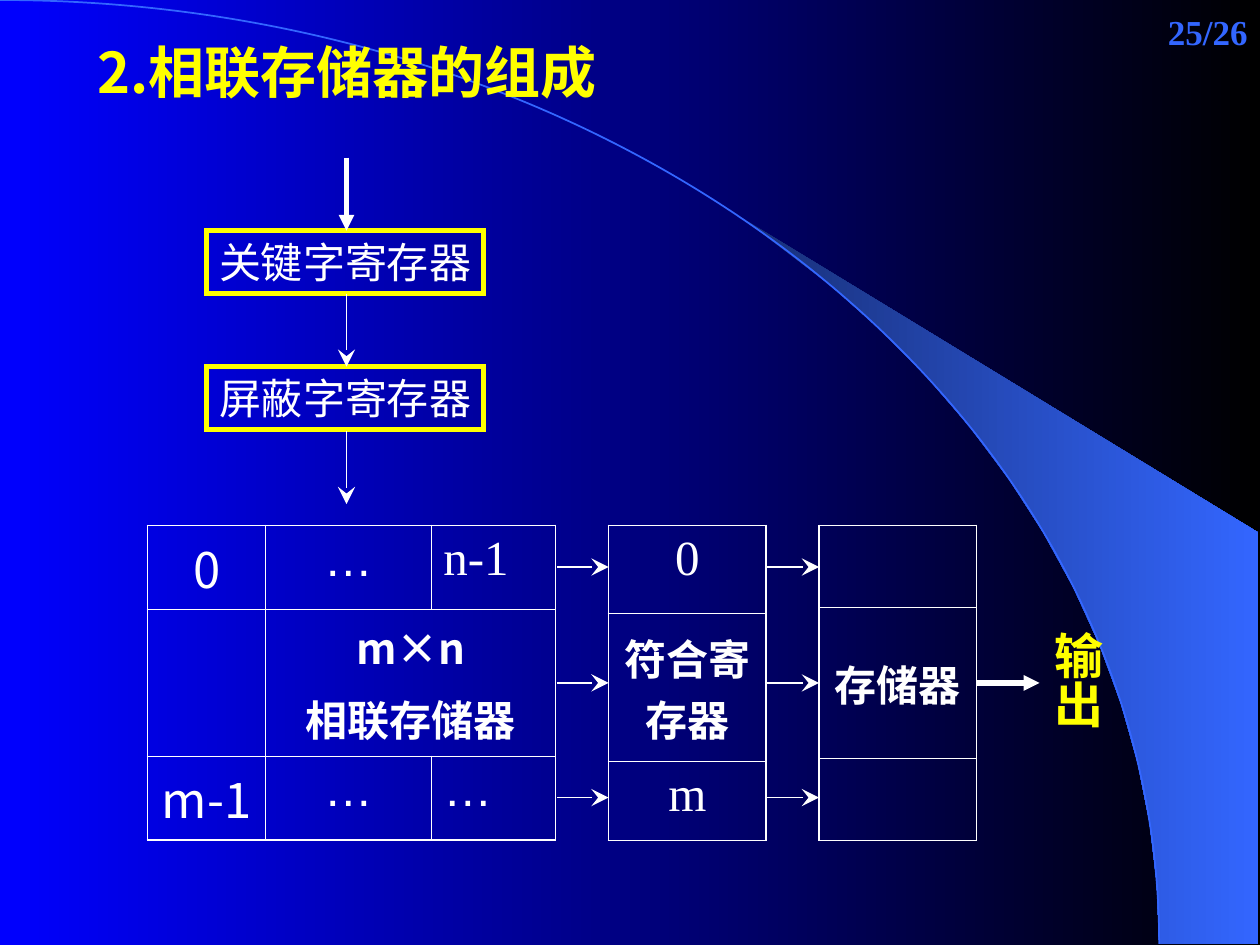
import math

import lxml.etree
import pptx
import pptx.dml.color
import pptx.enum.shapes
import pptx.enum.text
import pptx.oxml.ns
import pptx.util

WIDE, HIGH = 10, 7.5
WHITE, YELLOW, BLUE = "FFFFFF", "FFFF00", "3366FF"
NOTO, TIMES, ARIAL = "Noto Sans CJK SC", "Times New Roman", "Arial"
ALIGN = pptx.enum.text.PP_ALIGN
ANCHOR = pptx.enum.text.MSO_ANCHOR
TOP = 4.17
INCH = pptx.util.Inches


def color(text):
    return pptx.dml.color.RGBColor.from_string(text)


def node(parent, tag, **attrs):
    return lxml.etree.SubElement(parent, pptx.oxml.ns.qn(tag), attrs)


def write(frame, text, size=28, font=ARIAL, tint=WHITE, bold=False,
          align=ALIGN.LEFT, anchor=ANCHOR.TOP, wrap=True, gap=0, pad=(0.1, 0.05)):
    frame.word_wrap = wrap
    frame.vertical_anchor = anchor
    frame.margin_left = frame.margin_right = INCH(pad[0])
    frame.margin_top = frame.margin_bottom = INCH(pad[1])
    for i, line in enumerate(text.split("\n")):
        para = frame.add_paragraph() if i else frame.paragraphs[0]
        para.alignment = align
        para.space_before = pptx.util.Pt(gap if i else 0)
        run = para.add_run()
        run.text = line
        run.font.size = pptx.util.Pt(size)
        run.font.bold = bold
        run.font.name = font
        run.font.color.rgb = color(tint)
        node(run._r.get_or_add_rPr(), "a:ea", typeface=NOTO)


def blend(fill, start, end):
    fill.gradient()
    fill.gradient_angle = 0
    for stop, tint in zip(fill.gradient_stops, (start, end)):
        stop.color.rgb = color(tint)


def label(slide, text, box, **fmt):
    shape = slide.shapes.add_textbox(*map(INCH, box))
    write(shape.text_frame, text, **fmt)
    return shape


def frame(slide, text, top):
    """Yellow outlined box for one register."""
    kind = pptx.enum.shapes.MSO_SHAPE.RECTANGLE
    shape = slide.shapes.add_shape(kind, *map(INCH, (1.64, top, 2.2, 0.5)))
    shape.shadow.inherit = False
    shape.fill.background()
    shape.line.color.rgb = color(YELLOW)
    shape.line.width = pptx.util.Pt(3)
    node(shape.line._get_or_add_ln(), "a:miter", lim="800000")
    write(shape.text_frame, text, size=24, wrap=False)


def arrow(slide, start, end, width=0.75, head="stealth", size="lg"):
    kind = pptx.enum.shapes.MSO_CONNECTOR.STRAIGHT
    link = slide.shapes.add_connector(kind, *map(INCH, start + end))
    link.line.color.rgb = color(WHITE)
    link.line.width = pptx.util.Pt(width)
    node(link.line._get_or_add_ln(), "a:tailEnd", type=head, w=size, len=size)
    node(link._element.spPr, "a:effectLst")


def outline(slide, points, close):
    spots = [(INCH(x), INCH(y)) for x, y in points]
    build = slide.shapes.build_freeform(*spots[0])
    build.add_line_segments(spots[1:], close=close)
    shape = build.convert_to_shape()
    shape.shadow.inherit = False
    return shape


def bend(shape):
    """Turn the three line segments of an outline into one Bezier curve."""
    lines = list(shape._element.iter(pptx.oxml.ns.qn("a:lnTo")))
    cubic = node(lines[0].getparent(), "a:cubicBezTo")
    for line in lines:
        cubic.append(line[0])
        line.getparent().remove(line)


def curve(first, last, steps):
    """Points on the quarter ellipse, between two angles from its top."""
    turns = [math.radians(first + (last - first) * i / steps) for i in range(steps + 1)]
    return [(9.2 * math.sin(t), 7.49 * (1 - math.cos(t))) for t in turns]


def decor(slide):
    blend(slide.background.fill, "0000FF", "000000")
    wedge = outline(slide, [(9.99, 7.49), (9.99, 4.23), (5.89, 1.73)]
                    + curve(42, 90, 13)[1:], True)
    blend(wedge.fill, "182F76", BLUE)
    wedge.line.fill.background()
    arc = outline(slide, [(0, 0), (5.08, 0), (9.2, 3.35), (9.2, 7.49)], False)
    bend(arc)
    arc.fill.background()
    arc.line.color.rgb = color(BLUE)
    arc.line.width = pptx.util.Pt(1)


def border(cell, sides):
    props = cell._tc.get_or_add_tcPr()
    for side, outer in sides.items():
        width = pptx.util.Pt(1.08 if outer else 0.45)
        edge = node(props, "a:ln" + side, w=str(int(width)))
        node(node(edge, "a:solidFill"), "a:srgbClr", val=WHITE)
    cell.fill.background()


def grid(slide, left, cols, rows, texts, merge=None):
    """Table with thick outer and thin inner rules; texts maps (row, column) to text and format."""
    box = map(INCH, (left, TOP, sum(cols), sum(rows)))
    table = slide.shapes.add_table(len(rows), len(cols), *box).table
    table.first_row = table.horz_banding = False
    for i, wide in enumerate(cols):
        table.columns[i].width = INCH(wide)
    for i, high in enumerate(rows):
        table.rows[i].height = INCH(high)
    for r in range(len(rows)):
        for c in range(len(cols)):
            last = c == len(cols) - 1 or (merge and (r, c) == merge[0])
            border(table.cell(r, c), {"L": c == 0, "R": last,
                                      "T": r == 0, "B": r == len(rows) - 1})
    if merge:
        table.cell(*merge[0]).merge(table.cell(*merge[1]))
    for spot, (text, fmt) in texts.items():
        cell = table.cell(*spot)
        write(cell.text_frame, text, **{"align": ALIGN.CENTER, **fmt})
        cell.vertical_anchor = fmt.get("anchor", ANCHOR.TOP)
        cell.margin_left = cell.margin_right = INCH(0.1)
        cell.margin_top = cell.margin_bottom = INCH(0.05)


def tables(slide):
    noto, times = {"font": NOTO}, {"font": TIMES}
    left = {"align": ALIGN.LEFT}
    name = {"size": 24, "bold": True, "font": TIMES, "anchor": ANCHOR.MIDDLE}
    grid(slide, 1.17, [0.94, 1.31, 0.99], [0.67, 1.16, 0.67], {
        (0, 0): ("0", noto),
        (0, 1): ("…", {}),
        (0, 2): ("n-1", {**times, **left}),
        (1, 1): ("m×n\n相联存储器", {"size": 24, "bold": True, "gap": 6, **noto}),
        (2, 0): ("m-1", noto),
        (2, 1): ("…", {}),
        (2, 2): ("…", left),
    }, merge=((1, 1), (1, 2)))
    grid(slide, 4.83, [1.25], [0.7, 1.17, 0.63], {
        (0, 0): ("0", times), (1, 0): ("符合寄存器", name), (2, 0): ("m", times)})
    grid(slide, 6.5, [1.25], [0.65, 1.2, 0.65], {(1, 0): ("存储器", name)})


def arrows(slide):
    mid = 2.75
    thick = {"width": 3, "head": "triangle", "size": "med"}
    arrow(slide, (mid, 1.25), (mid, 1.83), **thick)
    for top in (2.33, 3.42):
        arrow(slide, (mid, top), (mid, top + 0.58))
    for start, end in ((4.42, 4.83), (6.08, 6.5)):
        for y in (4.5, 5.42, 6.33):
            arrow(slide, (start, y), (end, y))
    arrow(slide, (7.75, 5.42), (8.25, 5.42), **thick)


def head(slide, text):
    title = slide.shapes.title
    title.left, title.top, title.width, title.height = map(INCH, (0.67, 0.25, 5, 0.64))
    write(title.text_frame, text, size=32, font=NOTO, tint=YELLOW, bold=True)
    slide.shapes._spTree.append(title._element)


def main():
    deck = pptx.Presentation()
    deck.slide_width, deck.slide_height = INCH(WIDE), INCH(HIGH)
    slide = deck.slides.add_slide(deck.slide_layouts[5])
    decor(slide)
    label(slide, "25/26", (7.92, 0, 2.08, 0.5), size=20, font=TIMES, tint=BLUE,
          bold=True, align=ALIGN.RIGHT, anchor=ANCHOR.MIDDLE)
    tables(slide)
    frame(slide, "关键字寄存器", 1.83)
    frame(slide, "屏蔽字寄存器", 2.91)
    arrows(slide)
    out = label(slide, "输出", (8.17, 4.91, 0.66, 0.88), tint=YELLOW, bold=True,
                wrap=False, pad=(0.05, 0.1))
    out.text_frame._txBody.bodyPr.set("vert", "eaVert")
    head(slide, "2.相联存储器的组成")
    deck.save("out.pptx")


if __name__ == "__main__":
    main()
